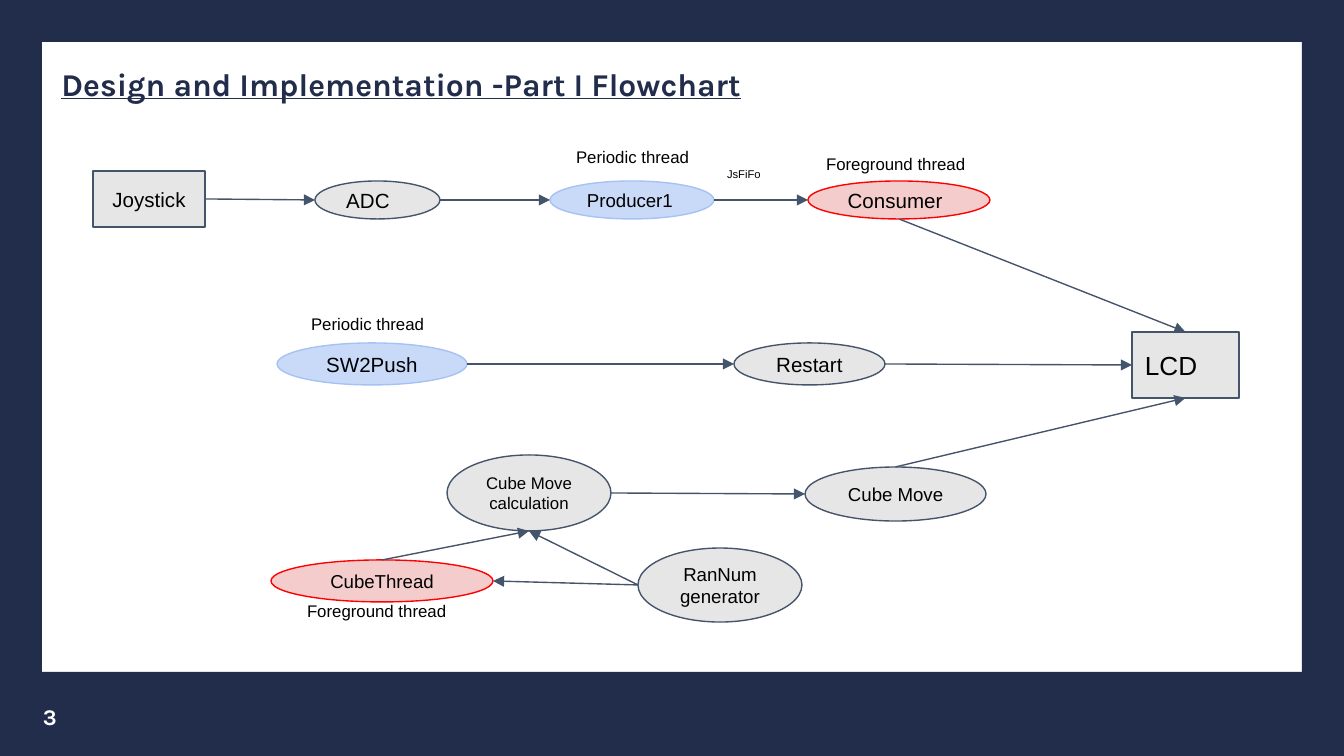
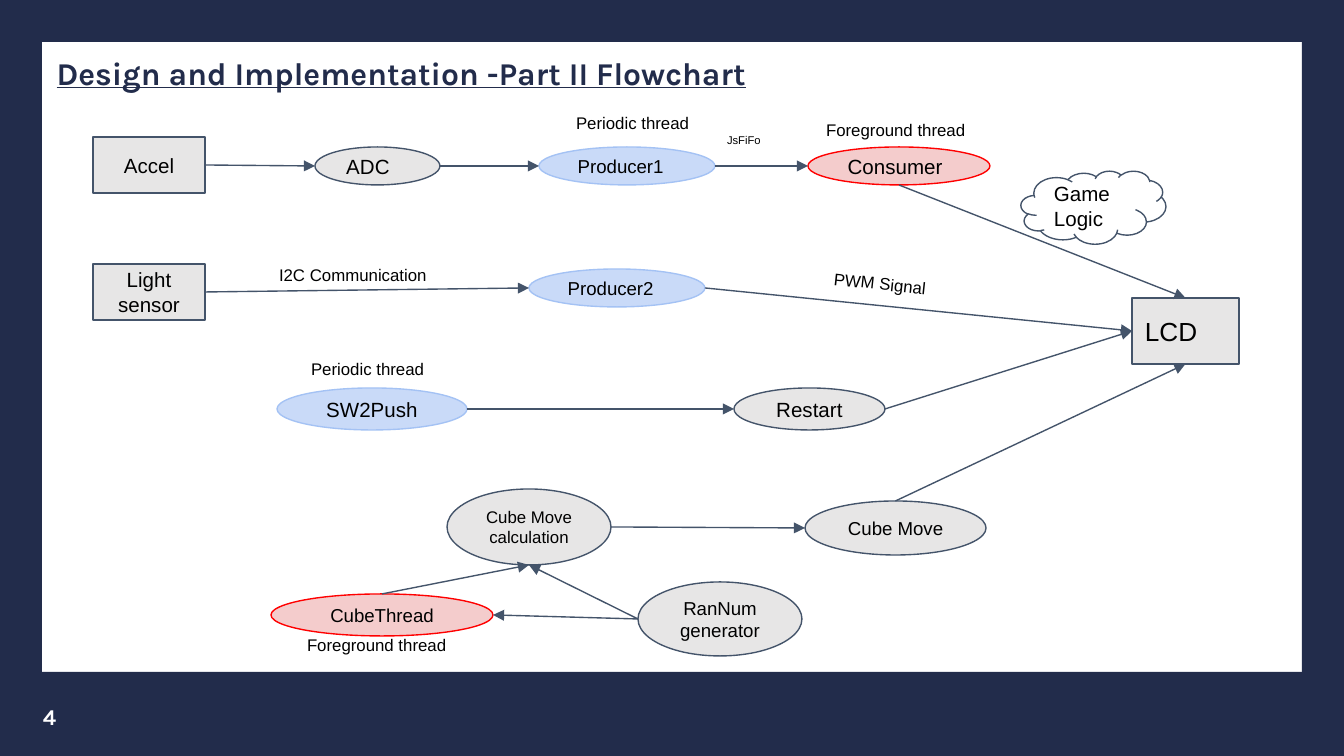
import pptx
import pptx.util
import pptx.dml.color
import pptx.enum.shapes
import pptx.enum.text
import pptx.oxml.ns
from lxml import etree

PX = 914400 / 134.4
WIDTH, HEIGHT, BAND = 1344, 756, 42
NAVY, WHITE, BLACK, SLATE = "222C4B", "FFFFFF", "000000", "44546A"
STYLES = {
    "plain": ("E7E6E6", SLATE),
    "periodic": ("C9DAF8", "A4C2F4"),
    "foreground": ("F4CCCC", "FF0000"),
    "open": (None, SLATE),
}
SHAPES = pptx.enum.shapes.MSO_SHAPE
RECTANGLE, ELLIPSE, CLOUD = SHAPES.RECTANGLE, SHAPES.OVAL, SHAPES.CLOUD
CONNECTOR = SHAPES.FLOWCHART_CONNECTOR
LEFT, CENTER = pptx.enum.text.PP_ALIGN.LEFT, pptx.enum.text.PP_ALIGN.CENTER
TOP, MIDDLE = pptx.enum.text.MSO_ANCHOR.TOP, pptx.enum.text.MSO_ANCHOR.MIDDLE
SIDES = {"top": (0, 0.5, 0), "left": (1, 0, 0.5), "bottom": (2, 0.5, 1), "right": (3, 1, 0.5)}

SHARED_NODES = [
    ("ADC", "input", CONNECTOR, "plain", (315, 181, 125, 38), 11, LEFT),
    ("Consumer", "input", CONNECTOR, "foreground", (808, 181, 182, 38), 11, LEFT),
    ("LCD", "input", RECTANGLE, "plain", (1132, 332, 107, 66), 14, LEFT),
    ("SW2Push", "restart", ELLIPSE, "periodic", (277, 343, 190, 42), 11, CENTER),
    ("Restart", "restart", CONNECTOR, "plain", (734, 343, 151, 42), 11, CENTER),
    ("CubeThread", "cube", ELLIPSE, "foreground", (271, 560, 222, 42), 10, CENTER),
    ("RanNum generator", "cube", CONNECTOR, "plain", (638, 548, 164, 74), 10, CENTER),
    ("Cube Move", "cube", CONNECTOR, "plain", (805, 467, 181, 54), 10, CENTER),
    ("Cube Move calculation", "cube", CONNECTOR, "plain", (447, 455, 164, 76), 9, CENTER),
]
SHARED_LABELS = [
    ("JsFiFo", "input", (714, 161, 68, 26), 6, 0),
    ("Periodic thread", "input", (563, 137, 190, 51), 9, 0),
    ("Foreground thread", "input", (813, 144, 190, 51), 9, 0),
    ("Periodic thread", "restart", (298, 304, 190, 51), 9, 0),
    ("Foreground thread", "cube", (294, 591, 190, 51), 9, 0),
]
SHARED_ARROWS = [
    ("ADC", "right", "Producer1", "left"),
    ("Producer1", "right", "Consumer", "left"),
    ("Consumer", "bottom", "LCD", "top"),
    ("SW2Push", "right", "Restart", "left"),
    ("Restart", "right", "LCD", "left"),
    ("RanNum generator", "left", "CubeThread", "right"),
    ("RanNum generator", "left", "Cube Move calculation", "bottom"),
    ("CubeThread", "top", "Cube Move calculation", "bottom"),
    ("Cube Move calculation", "right", "Cube Move", "left"),
    ("Cube Move", "top", "LCD", "bottom"),
]
FLOWCHARTS = [
    {
        "number": "3",
        "title": "Design and Implementation -Part I Flowchart",
        "title_top": 64,
        "shifts": {"input": 0, "restart": 0, "cube": 0},
        "nodes": [
            ("Joystick", "input", RECTANGLE, "plain", (93, 171, 112, 56), 11, CENTER),
            ("Producer1", "input", CONNECTOR, "periodic", (550, 181, 164, 38), 10, LEFT),
        ],
        "labels": [],
        "arrows": [("Joystick", "right", "ADC", "left")],
    },
    {
        "number": "4",
        "title": "Design and Implementation -Part II Flowchart",
        "title_top": 53,
        "shifts": {"input": -34, "restart": 45, "cube": 34, "light": 0},
        "nodes": [
            ("Accel", "input", RECTANGLE, "plain", (93, 171, 112, 56), 11, CENTER),
            ("Producer1", "input", CONNECTOR, "periodic", (539, 181, 176, 38), 10, LEFT),
            ("Producer2", "light", CONNECTOR, "periodic", (529, 269, 176, 38), 10, LEFT),
            ("Light sensor", "light", RECTANGLE, "plain", (93, 264, 112, 56), 11, CENTER),
            ("Game Logic", "light", CLOUD, "open", (1021, 171, 145, 73), 11, LEFT),
        ],
        "labels": [
            ("I2C Communication", "light", (266, 255, 190, 51), 9, 0),
            ("PWM Signal", "light", (820, 267, 190, 51), 9, 6.2),
        ],
        "arrows": [
            ("Accel", "right", "ADC", "left"),
            ("Light sensor", "right", "Producer2", "left"),
            ("Producer2", "right", "LCD", "left"),
        ],
    },
]


def emu(*lengths):
    return [round(length * PX) for length in lengths]


def rgb(color):
    return pptx.dml.color.RGBColor.from_string(color)


def write(shape, text, size, align=LEFT, anchor=TOP, insets=(13, 13), font="Arial",
          color=BLACK, bold=False, underline=False, spacing=None):
    frame = shape.text_frame
    frame.word_wrap = True
    frame.vertical_anchor = anchor
    frame.margin_left = frame.margin_right = emu(insets[0])[0]
    frame.margin_top = frame.margin_bottom = emu(insets[1])[0]
    paragraph = frame.paragraphs[0]
    paragraph.alignment = align
    paragraph.line_spacing = spacing
    run = paragraph.add_run()
    run.text = text
    run.font.name = font
    run.font.size = pptx.util.Pt(size)
    run.font.bold = bold
    run.font.underline = underline
    run.font.color.rgb = rgb(color)


def add_box(slide, kind, box, fill, line=None):
    shape = slide.shapes.add_shape(kind, *emu(*box))
    shape.shadow.inherit = False
    if fill:
        shape.fill.solid()
        shape.fill.fore_color.rgb = rgb(fill)
    else:
        shape.fill.background()
    if line:
        shape.line.color.rgb = rgb(line)
        shape.line.width = pptx.util.Pt(0.75)
    else:
        shape.line.fill.background()
    return shape


def add_frame(slide, flowchart):
    inner = WIDTH - 2 * BAND
    for box in [
        (BAND, 0, inner, BAND),
        (0, 0, BAND, HEIGHT),
        (WIDTH - BAND, 0, BAND, HEIGHT),
        (BAND, HEIGHT - BAND, inner, BAND),
        (BAND, HEIGHT - 2 * BAND, inner, BAND),
    ]:
        add_box(slide, RECTANGLE, box, NAVY)
    number = slide.shapes.add_textbox(*emu(34, 698, 51, 38))
    write(number, flowchart["number"], 12, insets=(9, 5), font="Karla", color=WHITE, bold=True)
    title = slide.shapes.add_textbox(*emu(23, flowchart["title_top"], 757, 52))
    write(title, flowchart["title"], 17, CENTER, insets=(9, 5), font="Karla", color=NAVY,
          bold=True, underline=True, spacing=0.9)


def side_point(shape, side):
    _, across, down = SIDES[side]
    return round(shape.left + shape.width * across), round(shape.top + shape.height * down)


def add_arrow(slide, start, start_side, end, end_side):
    arrow = slide.shapes.add_connector(
        pptx.enum.shapes.MSO_CONNECTOR.STRAIGHT,
        *side_point(start, start_side), *side_point(end, end_side))
    if start.auto_shape_type == RECTANGLE:
        arrow.begin_connect(start, SIDES[start_side][0])
    if end.auto_shape_type == RECTANGLE:
        arrow.end_connect(end, SIDES[end_side][0])
    arrow.line.color.rgb = rgb(SLATE)
    arrow.line.width = pptx.util.Pt(0.75)
    qn = pptx.oxml.ns.qn
    etree.SubElement(arrow.line._get_or_add_ln(), qn("a:tailEnd"), type="triangle")
    etree.SubElement(arrow._element.spPr, qn("a:effectLst"))


def add_flowchart(slide, flowchart):
    shifts = flowchart["shifts"]
    nodes = {}
    for text, group, kind, style, box, size, align in SHARED_NODES + flowchart["nodes"]:
        left, top, width, height = box
        shape = add_box(slide, kind, (left, top + shifts[group], width, height), *STYLES[style])
        write(shape, text, size, align, MIDDLE)
        nodes[text] = shape
    for start, start_side, end, end_side in SHARED_ARROWS + flowchart["arrows"]:
        add_arrow(slide, nodes[start], start_side, nodes[end], end_side)
    for text, group, (left, top, width, height), size, angle in SHARED_LABELS + flowchart["labels"]:
        label = slide.shapes.add_textbox(*emu(left, top + shifts[group], width, height))
        label.rotation = angle
        write(label, text, size)


def main():
    presentation = pptx.Presentation()
    presentation.slide_width, presentation.slide_height = emu(WIDTH, HEIGHT)
    for flowchart in FLOWCHARTS:
        slide = presentation.slides.add_slide(presentation.slide_layouts[6])
        add_frame(slide, flowchart)
        add_flowchart(slide, flowchart)
    presentation.save("out.pptx")


if __name__ == "__main__":
    main()
